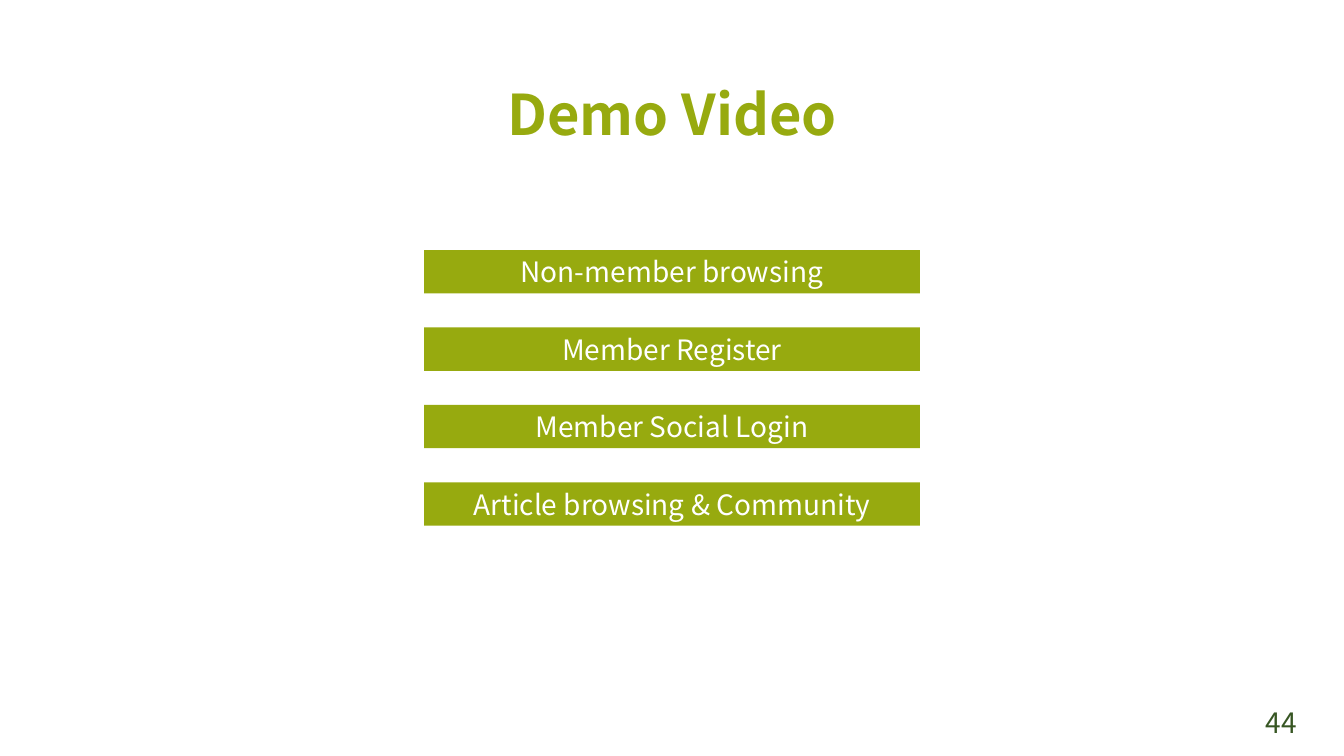
"""Build the Demo Video slide: a title, four stacked topic bars and a page number."""
from pptx import Presentation
from pptx.dml.color import RGBColor
from pptx.enum.shapes import MSO_SHAPE as Preset
from pptx.enum.text import MSO_ANCHOR as Anchor, PP_ALIGN as Align
from pptx.util import Pt

COLORS = {"lime": "97AA0F", "forest": "375623", "white": "FFFFFF"}
FONT = "Noto Sans CJK KR"
TOPICS = [
    "Non-member browsing",
    "Member Register",
    "Member Social Login",
    "Article browsing & Community",
]
PAGE_WIDTH, PAGE_HEIGHT = 960, 540
BAR_WIDTH, BAR_HEIGHT = 354.24, 31
BAR_LEFT = (PAGE_WIDTH - BAR_WIDTH) / 2
BAR_TOP, BAR_PITCH = 178.6, 55.3


def write(box, text, color, size=20, bold=False, align=Align.CENTER,
          anchor=Anchor.TOP, spacing=None, inset=0):
    frame = box.text_frame
    frame.word_wrap = True
    frame.vertical_anchor = anchor
    frame.margin_left = frame.margin_right = Pt(inset)
    frame.margin_top = frame.margin_bottom = Pt(inset / 2)
    para = frame.paragraphs[0]
    para.alignment = align
    if spacing:
        para.line_spacing = Pt(spacing)
    span = para.add_run()
    span.text = text
    span.font.name = FONT
    span.font.size = Pt(size)
    span.font.bold = bold
    span.font.color.rgb = RGBColor.from_string(COLORS[color])


deck = Presentation()
deck.slide_width, deck.slide_height = Pt(PAGE_WIDTH), Pt(PAGE_HEIGHT)
page = deck.slides.add_slide(deck.slide_layouts[6])

number = page.shapes.add_textbox(Pt(897), Pt(500.4), Pt(54), Pt(28.8))
write(number, "44", "forest", align=Align.LEFT, inset=7.2)

title = page.shapes.add_textbox(Pt(0), Pt(62.6), Pt(PAGE_WIDTH), Pt(42))
write(title, "Demo Video", "lime", size=40, bold=True, spacing=42)

for row, topic in enumerate(TOPICS):
    bar = page.shapes.add_shape(
        Preset.RECTANGLE, Pt(BAR_LEFT), Pt(BAR_TOP + row * BAR_PITCH),
        Pt(BAR_WIDTH), Pt(BAR_HEIGHT))
    bar.shadow.inherit = False
    bar.fill.solid()
    bar.fill.fore_color.rgb = RGBColor.from_string(COLORS["lime"])
    bar.line.fill.background()
    write(bar, topic, "white", anchor=Anchor.MIDDLE)

deck.save("out.pptx")
